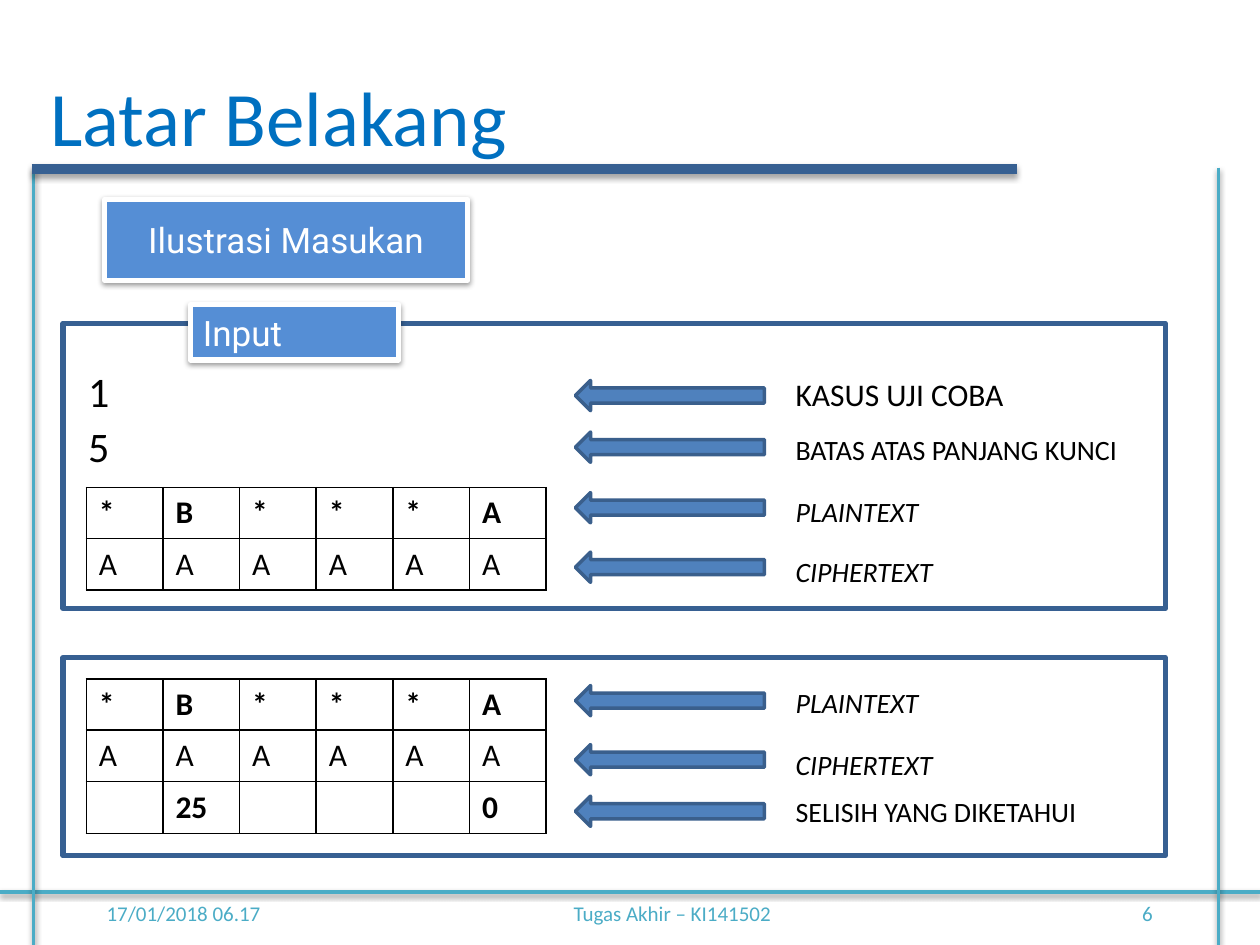
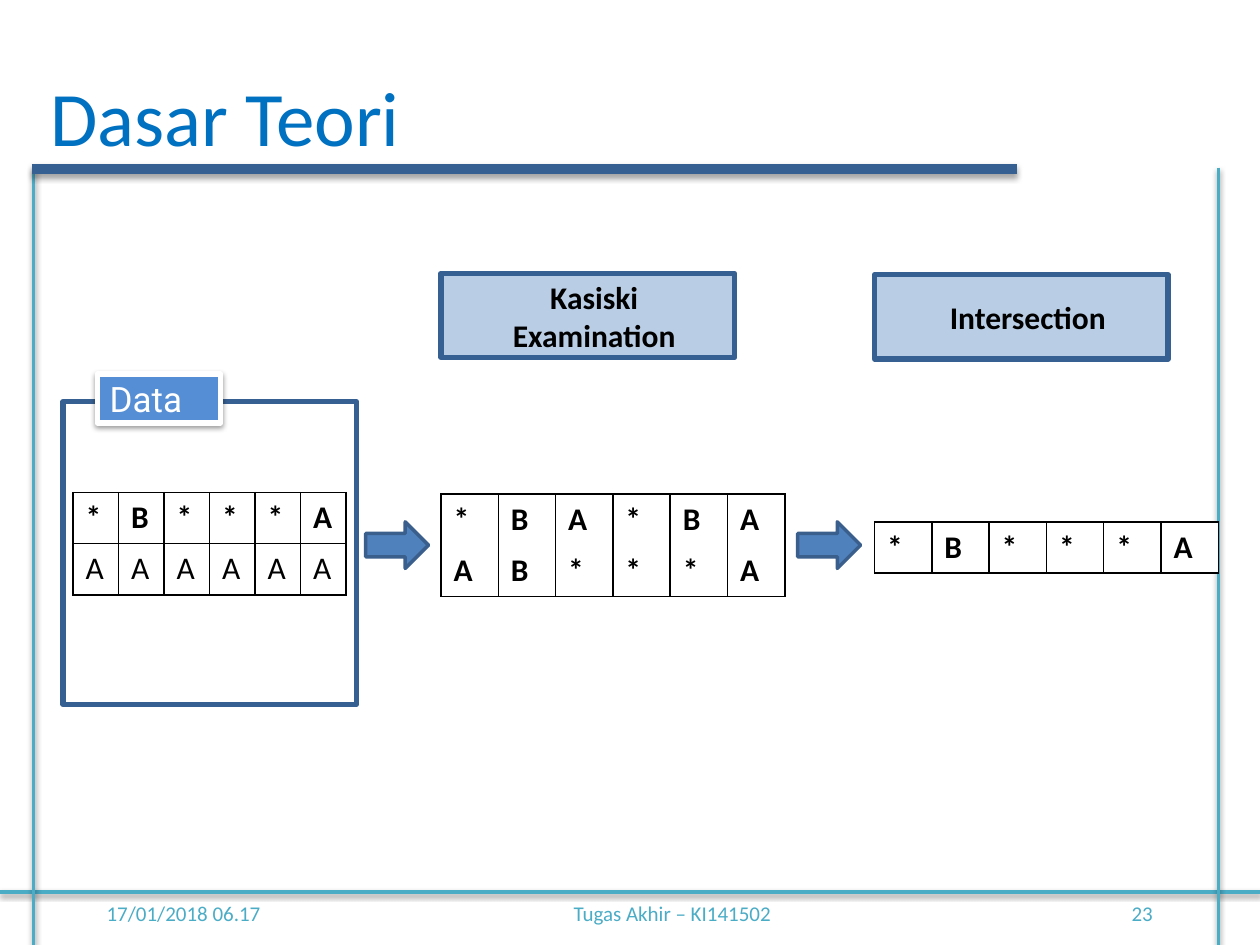
from dataclasses import dataclass

from lxml import etree
from pptx import Presentation
from pptx import util as u
from pptx.dml.color import RGBColor
from pptx.enum import shapes, text
from pptx.oxml import ns


@dataclass(frozen=True)
class Theme:
    blue: str = "0070C0"
    teal: str = "4BACC6"
    navy: str = "376092"
    tag: str = "558ED5"
    pale: str = "B9CDE5"
    arrow: str = "4F81BD"
    edge: str = "3A5F8C"
    black: str = "000000"
    white: str = "FFFFFF"
    body: str = "Calibri"
    accent: str = "Roboto"
    title: int = 44
    digit: int = 24
    head: int = 20
    cell: int = 18
    label: int = 16
    foot: int = 12


T = Theme()
KIND = shapes.MSO_SHAPE
ALIGN = text.PP_ALIGN
ANCHOR = text.MSO_ANCHOR
STAMP = "17/01/2018 06.17"
COURSE = "Tugas Akhir – KI141502"
STARS = "*B***A"
CIPHER = "A" * 6
ROW = 1.03


def rgb(code):
    return RGBColor.from_string(code)


def place(box):
    return [u.Cm(n) for n in box]


def write(frame, words, size=T.cell, font=T.body, color=T.black, bold=False,
          italic=False, align=ALIGN.LEFT, anchor=ANCHOR.TOP, after=0,
          wrap=True, left=0.25, top=0.13):
    """Fill a text frame, one paragraph for each line of words."""
    frame.word_wrap = wrap
    frame.auto_size = text.MSO_AUTO_SIZE.NONE
    frame.vertical_anchor = anchor
    frame.margin_left, frame.margin_top = u.Cm(left), u.Cm(top)
    frame.text = words
    for para in frame.paragraphs:
        para.alignment = align
        para.space_after = u.Pt(after)
        for run in para.runs:
            face = run.font
            face.name, face.size = font, u.Pt(size)
            face.bold, face.italic = bold, italic
            face.color.rgb = rgb(color)


def shade(item, dist=1.57, alpha=38):
    """Give a shape or connector a soft shadow; alpha 0 gives none."""
    props = item._element.spPr
    list_tag = ns.qn("a:effectLst")
    effects = props.find(list_tag)
    if effects is None:
        effects = etree.SubElement(props, list_tag)
    if alpha:
        outer = etree.SubElement(
            effects, ns.qn("a:outerShdw"), blurRad=str(u.Pt(3.15)),
            dist=str(u.Pt(dist)), dir="5400000", rotWithShape="0")
        tone = etree.SubElement(outer, ns.qn("a:srgbClr"), val=T.black)
        etree.SubElement(tone, ns.qn("a:alpha"), val=str(alpha * 1000))


def shape(slide, kind, box, fill=None, line=T.navy, width=3):
    item = slide.shapes.add_shape(kind, *place(box))
    item.shadow.inherit = False
    if fill:
        item.fill.solid()
        item.fill.fore_color.rgb = rgb(fill)
    else:
        item.fill.background()
    item.line.color.rgb = rgb(line)
    item.line.width = u.Pt(width)
    return item


def panel(slide, box):
    return shape(slide, KIND.RECTANGLE, box)


def arrow(slide, kind, box):
    shape(slide, kind, box, T.arrow, T.edge, 2)


def tag(slide, box, words, align=ALIGN.LEFT):
    item = shape(slide, KIND.RECTANGLE, box, T.tag, T.white)
    shade(item)
    write(item.text_frame, words, size=T.head, font=T.accent, color=T.white,
          align=align, anchor=ANCHOR.MIDDLE, after=3)


def step(slide, box, words):
    item = shape(slide, KIND.RECTANGLE, box, T.pale)
    write(item.text_frame, words, bold=True, align=ALIGN.CENTER,
          anchor=ANCHOR.MIDDLE, left=0.51)


def label(slide, box, words, **form):
    write(slide.shapes.add_textbox(*place(box)).text_frame, words, **form)


def rule(slide, ends, color=T.teal, width=2, **cast):
    line = slide.shapes.add_connector(shapes.MSO_CONNECTOR.STRAIGHT,
                                      *place(ends))
    line.line.color.rgb = rgb(color)
    line.line.width = u.Pt(width)
    shade(line, **cast)


def border(cell, sides):
    props = cell._tc.get_or_add_tcPr()
    for side in sides:
        line = etree.SubElement(props, ns.qn(f"a:ln{side}"), w=str(u.Pt(1)))
        fill = etree.SubElement(line, ns.qn("a:solidFill"))
        etree.SubElement(fill, ns.qn("a:srgbClr"), val=T.black)


def grid(slide, left, top, width, rows, bold=(True,), fill=None, sides="LRTB"):
    """Draw a lettered table; bold holds one flag for each row."""
    cols = len(rows[0])
    box = (left, top, width, ROW * len(rows))
    table = slide.shapes.add_table(len(rows), cols, *place(box)).table
    table.first_row = table.horz_banding = False
    for col in table.columns:
        col.width = u.Cm(width / cols)
    for r, row in enumerate(rows):
        table.rows[r].height = u.Cm(ROW)
        for c, word in enumerate(row):
            cell = table.cell(r, c)
            border(cell, sides)
            if fill:
                cell.fill.solid()
                cell.fill.fore_color.rgb = rgb(fill)
            else:
                cell.fill.background()
            if word:
                para = cell.text_frame.paragraphs[0]
                para.text = word
                face = para.runs[0].font
                face.name, face.size = T.body, u.Pt(T.cell)
                face.bold, face.color.rgb = bold[r], rgb(T.black)


def start(deck, title, page):
    """Add a slide with the shared title, rules and footer."""
    slide = deck.slides.add_slide(deck.slide_layouts[5])
    for left, width, words, align in (
            (1.9, 5.28, STAMP, ALIGN.LEFT),
            (9.53, 8.05, COURSE, ALIGN.CENTER),
            (18.21, 5.28, str(page), ALIGN.RIGHT)):
        label(slide, (left, 17.78, width, 1.27), words, size=T.foot,
              color=T.teal, align=align, anchor=ANCHOR.MIDDLE)
    rule(slide, (0, 17.98, 25.4, 17.98))
    rule(slide, (0.68, 3.38, 0.68, 19.05))
    rule(slide, (24.56, 3.38, 24.56, 19.05))
    head = slide.shapes.title
    head.left, head.top, head.width, head.height = place((0.76, 1.27, 19, 2.13))
    write(head.text_frame, title, size=T.title, color=T.blue, wrap=False)
    rule(slide, (0.64, 3.41, 20.5, 3.41), T.navy, 6, dist=1.81, alpha=35)
    return slide


def inputs(deck):
    slide = start(deck, "Latar Belakang", 6)
    tag(slide, (2.11, 4.02, 7.32, 1.63), "Ilustrasi Masukan", ALIGN.CENTER)
    frame = panel(slide, (1.27, 6.52, 22.22, 5.75)).text_frame
    write(frame, "1\n5", size=T.digit, after=3, left=0.51, top=0.84)
    tag(slide, (3.84, 6.14, 4.2, 1.12), "Input")
    panel(slide, (1.27, 13.26, 22.22, 3.99))

    for top in (9.83, 13.69):
        grid(slide, 1.74, top, 9.27, (STARS, CIPHER), bold=(True, False))
    grid(slide, 1.74, 15.77, 9.27, [("", "25", "", "", "", "0")], sides="LRB")

    plain, cipher = "PLAINTEXT", "CIPHERTEXT"
    for mark, top, words, size in (
            (7.67, 7.44, "KASUS UJI COBA", T.cell),
            (8.71, 8.59, "BATAS ATAS PANJANG KUNCI", T.label),
            (9.93, 9.83, plain, T.label),
            (11.13, 11.05, cipher, T.label),
            (13.82, 13.69, plain, T.label),
            (15.01, 14.94, cipher, T.label),
            (16.05, 15.88, "SELISIH YANG DIKETAHUI", T.label)):
        arrow(slide, KIND.LEFT_ARROW, (11.6, mark, 3.81, 0.61))
        label(slide, (15.79, top, 7.42, 0.94), words, size=size,
              italic=words in (plain, cipher))


def theory(deck):
    slide = start(deck, "Dasar Teori", 23)
    panel(slide, (1.27, 8.1, 5.92, 6.1))
    tag(slide, (1.96, 7.54, 2.49, 0.99), "Data")
    step(slide, (17.63, 5.54, 5.92, 1.7), "Intersection")
    step(slide, (8.89, 5.51, 5.92, 1.7), "Kasiski Examination")

    grid(slide, 1.47, 9.93, 5.51, (STARS, CIPHER), bold=(True, False))
    grid(slide, 8.89, 9.96, 6.93, ["*BA*BA"], fill=T.white)
    grid(slide, 8.89, 10.99, 6.93, ["AB***A"], fill=T.white, sides="LRB")
    grid(slide, 17.63, 10.52, 6.93, [STARS], fill=T.white)
    for left in (7.37, 16.08):
        arrow(slide, KIND.RIGHT_ARROW, (left, 10.52, 1.27, 0.94))


def main():
    deck = Presentation()
    deck.slide_width, deck.slide_height = u.Cm(25.4), u.Cm(19.05)
    inputs(deck)
    theory(deck)
    deck.save("out.pptx")


if __name__ == "__main__":
    main()
